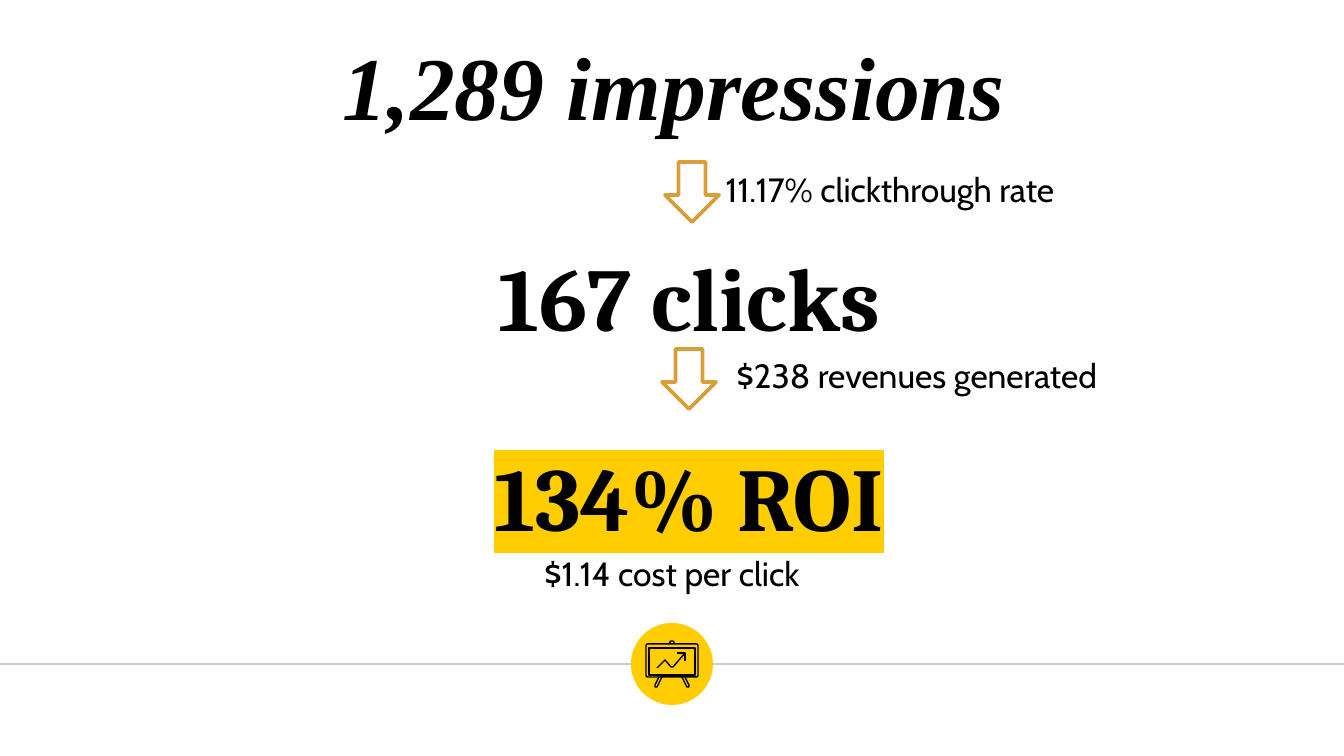
from lxml.etree import SubElement
from pptx import Presentation
from pptx.dml.color import RGBColor
from pptx.enum.shapes import MSO_CONNECTOR, MSO_SHAPE
from pptx.enum.text import MSO_ANCHOR, MSO_AUTO_SIZE, PP_ALIGN
from pptx.oxml import parse_xml
from pptx.oxml.ns import nsdecls, qn
from pptx.util import Pt

SCALE = 914400 / 134.4
BLACK, WHITE, YELLOW, GOLD, GREY = "000000", "FFFFFF", "FFCD00", "D89F39", "CCCCCC"


def px(n):
    """Turn px into EMU."""
    return round(n * SCALE)


def rgb(value):
    """Turn a hex string into a colour."""
    return RGBColor.from_string(value)


def set_text(sp, box, text, font, size, anchor, bold=False, italic=False):
    """Place a text shape and write one centred line; return its run."""
    sp.left, sp.top, sp.width, sp.height = map(px, box)
    tf = sp.text_frame
    tf.text = text
    tf.word_wrap = True
    tf.auto_size = MSO_AUTO_SIZE.NONE
    tf.vertical_anchor = anchor
    tf.margin_left = tf.margin_right = tf.margin_top = tf.margin_bottom = px(13)
    p = tf.paragraphs[0]
    p.alignment = PP_ALIGN.CENTER
    r = p.runs[0]
    r.font.name, r.font.size = font, Pt(size)
    r.font.bold, r.font.italic = bold, italic
    r.font.color.rgb = rgb(BLACK)
    return r


def add_figure(sp, x, y, text, font="Cambria", italic=False):
    """Write a large headline figure; return its run."""
    return set_text(sp, (x, y, 1142, 132), text, font, 48,
                    MSO_ANCHOR.BOTTOM, True, italic)


def add_caption(s, x, y, w, text):
    """Write a small caption."""
    sp = s.shapes.add_textbox(0, 0, 0, 0)
    set_text(sp, (x, y, w, 69), text, "Cabin", 18, MSO_ANCHOR.TOP)


def highlight(r, color):
    """Put a marker colour behind a run."""
    fill = r.font._element.find(qn("a:solidFill"))
    fill.addnext(parse_xml(
        f'<a:highlight {nsdecls("a")}><a:srgbClr val="{color}"/></a:highlight>'))


def add_shape(s, kind, x, y, w, h, fill=None, line=None, weight=0.75):
    """Add a flat preset shape."""
    sp = s.shapes.add_shape(kind, px(x), px(y), px(w), px(h))
    style(sp, fill, line, weight)
    return sp


def style(sp, fill, line, weight):
    """Set fill and line, and drop the shadow."""
    sp.shadow.inherit = False
    for part, color in ((sp.fill, fill), (sp.line.fill, line)):
        if color:
            part.solid()
            part.fore_color.rgb = rgb(color)
        else:
            part.background()
    if line:
        sp.line.width = Pt(weight)


def add_arrow(s, x, y):
    """Add a down arrow between two figures."""
    add_shape(s, MSO_SHAPE.DOWN_ARROW, x, y, 54, 60, WHITE, GOLD, 2)


def add_stroke(s, x, y, points):
    """Draw an open black outline from points relative to x, y."""
    builder = s.shapes.build_freeform(*points[0], scale=SCALE)
    builder.add_line_segments(points[1:], close=False)
    style(builder.convert_to_shape(px(x), px(y)), None, BLACK, 0.75)


def add_board_icon(s, x, y):
    """Draw the chart board in its yellow circle."""
    add_shape(s, MSO_SHAPE.OVAL, x, y, 82, 82, YELLOW)
    frame = add_shape(s, MSO_SHAPE.ROUNDED_RECTANGLE, x + 15, y + 21, 52, 33, line=BLACK)
    frame.adjustments[0] = 0.05
    add_shape(s, MSO_SHAPE.RECTANGLE, x + 18, y + 25, 46, 27, line=BLACK)
    leg = [(28, 54), (24, 62), (24, 64), (26, 64), (31, 54)]
    knob = [(39, 21), (39, 19), (40, 18), (42, 18), (43, 19), (43, 21)]
    trend = [(54, 30), (42, 44), (40, 44), (34, 37), (26, 45)]
    tip = [(46, 30), (54, 30), (54, 38)]
    for points in (knob, leg, [(82 - a, b) for a, b in leg], trend, tip):
        add_stroke(s, x, y, points)


def add_footer(s, y):
    """Draw the rule across the slide with the icon at its middle."""
    rule = s.shapes.add_connector(MSO_CONNECTOR.STRAIGHT, 0, px(y), px(1344), px(y))
    rule.line.color.rgb = rgb(GREY)
    rule.line.width = Pt(0.75)
    SubElement(rule._element.spPr, qn("a:effectLst"))
    add_board_icon(s, 631, y - 41)


def add_funnel(s):
    """Write the figures, captions and arrows from impressions to ROI."""
    add_figure(s.shapes.title, 103, 19, "1,289 impressions", "Times New Roman", True)
    add_figure(s.shapes.add_textbox(0, 0, 0, 0), 118, 230, "167 clicks")
    r = add_figure(s.shapes.add_textbox(0, 0, 0, 0), 118, 430, "134% ROI")
    highlight(r, YELLOW)
    add_caption(s, 319, 156, 1142, "11.17% clickthrough rate")
    add_caption(s, 692, 342, 450, "$238 revenues generated")
    add_caption(s, 101, 540, 1142, "$1.14 cost per click")
    add_arrow(s, 665, 162)
    add_arrow(s, 662, 349)


def main():
    """Build and save the slide."""
    prs = Presentation()
    prs.slide_width, prs.slide_height = px(1344), px(756)
    s = prs.slides.add_slide(prs.slide_layouts[5])
    add_footer(s, 664)
    add_funnel(s)
    prs.save("out.pptx")


if __name__ == "__main__":
    main()
